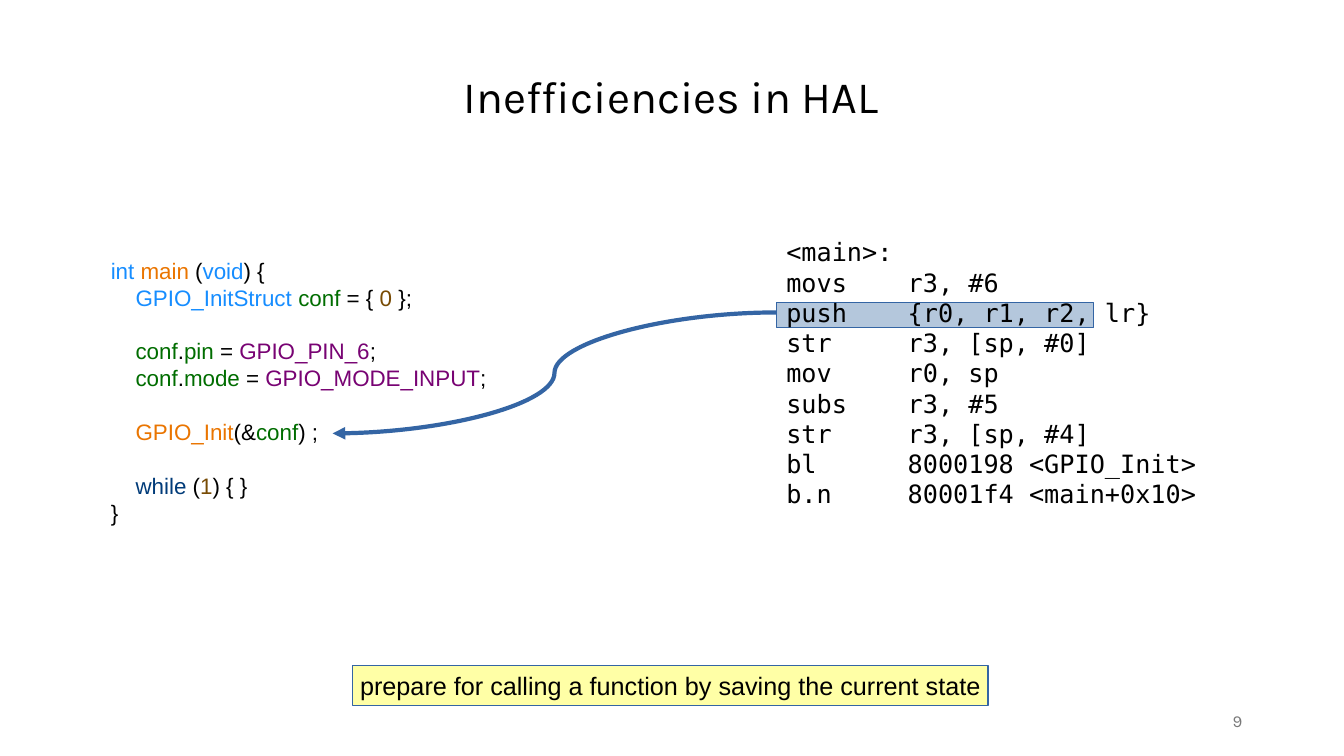
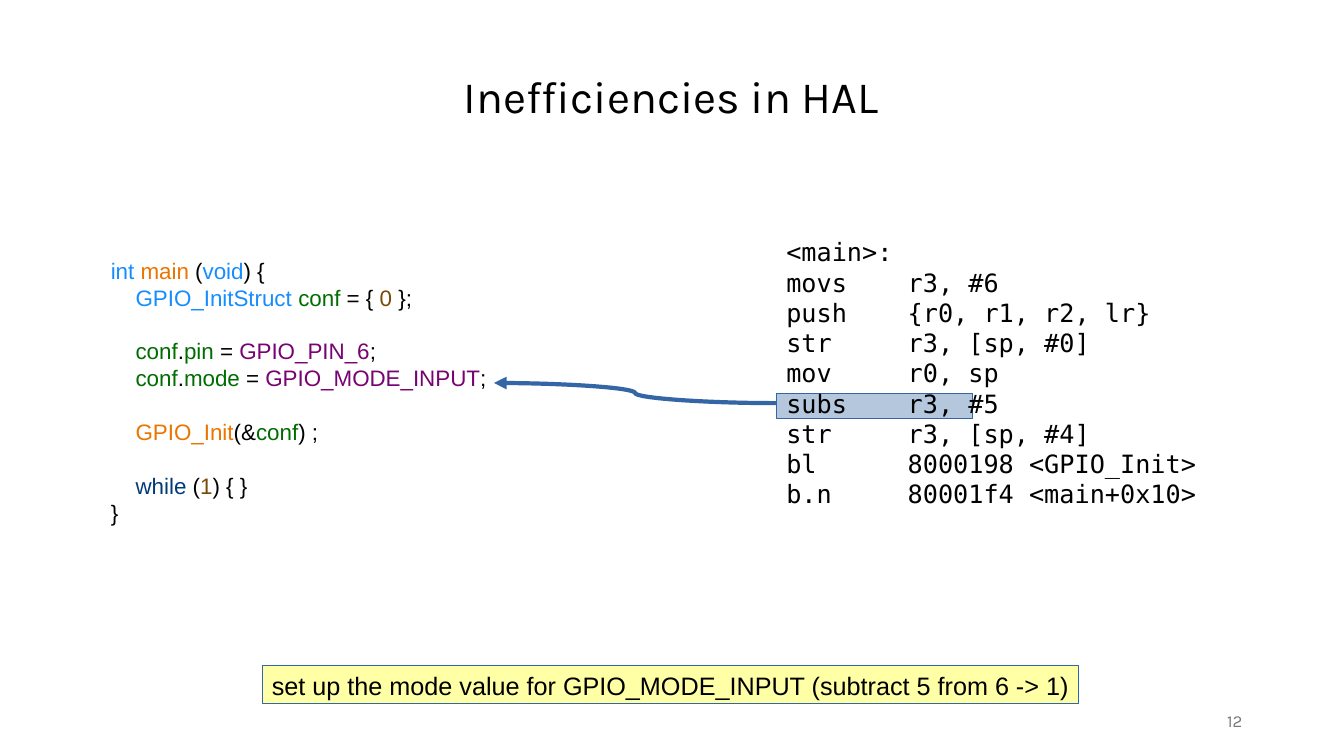
from lxml import etree
from pptx import Presentation
from pptx import util as u
from pptx.dml.color import RGBColor
from pptx.enum import shapes, text
from pptx.oxml import ns

# Shared colours and fonts
BLACK = RGBColor(0x00, 0x00, 0x00)
GREY = RGBColor(0x78, 0x78, 0x78)
EDGE = RGBColor(0x34, 0x65, 0xA4)
CAPTION = RGBColor(0xFF, 0xFF, 0xA6)
HIGHLIGHT = RGBColor(0xB4, 0xC7, 0xDC)
TYPE = RGBColor(0x16, 0x8D, 0xFF)
FUNCTION = RGBColor(0xEA, 0x75, 0x00)
VARIABLE = RGBColor(0x00, 0x6D, 0x00)
NUMBER = RGBColor(0x78, 0x4B, 0x04)
MACRO = RGBColor(0x78, 0x03, 0x73)
KEYWORD = RGBColor(0x00, 0x3B, 0x79)
TITLE_FONT, BODY_FONT, CODE_FONT = "Karla", "Arial", "DejaVu Sans Mono"

# Square grid cell, and the assembly listing's place on that grid
CELL = u.Inches(0.1)
LISTING_LEFT, LISTING_TOP, LISTING_ROW = 77, 24, 3
CAPTION_CENTER, CAPTION_TOP = 66.5, 66
BLANK_LINE = u.Pt(19.2)

# C source: (blank line above, coloured runs)
SOURCE = [
    (False, [("int ", TYPE), ("main", FUNCTION), (" (", BLACK), ("void", TYPE), (") {", BLACK)]),
    (False, [("    ", BLACK), ("GPIO_InitStruct ", TYPE), ("conf", VARIABLE), (" = { ", BLACK),
             ("0 ", NUMBER), ("};", BLACK)]),
    (True, [("    ", BLACK), ("conf", VARIABLE), (".", BLACK), ("pin", VARIABLE), (" = ", BLACK),
            ("GPIO_PIN_6", MACRO), (";", BLACK)]),
    (False, [("    ", BLACK), ("conf", VARIABLE), (".", BLACK), ("mode", VARIABLE), (" = ", BLACK),
             ("GPIO_MODE_INPUT", MACRO), (";", BLACK)]),
    (True, [("    ", BLACK), ("GPIO_Init", FUNCTION), ("(&", BLACK), ("conf", VARIABLE),
            (") ;", BLACK)]),
    (True, [("    ", BLACK), ("while", KEYWORD), (" (", BLACK), ("1", NUMBER), (") { }", BLACK)]),
    (False, [("}", BLACK)]),
]

ASSEMBLY = [
    "<main>:",
    "movs    r3, #6",
    "push    {r0, r1, r2, lr}",
    "str     r3, [sp, #0]",
    "mov     r0, sp",
    "subs    r3, #5",
    "str     r3, [sp, #4]",
    "bl      8000198 <GPIO_Init>",
    "b.n     80001f4 <main+0x10>",
]

# What differs: number, caption, its size, highlighted row, its width, arrow target
STEPS = [
    ("9", "prepare for calling a function by saving the current state",
     (63, 4), 2, 31.5, (33, 43)),
    ("12", "set up the mode value for GPIO_MODE_INPUT (subtract 5 from 6 -> 1)",
     (81, 3.8), 5, 19.5, (49, 38)),
]


def add_text(slide, box, lines, font, size, color=BLACK, align=text.PP_ALIGN.LEFT):
    """Add a text box, given in grid cells, with one paragraph per line."""
    shape = slide.shapes.add_textbox(*[round(length * CELL) for length in box])
    frame = shape.text_frame
    frame.word_wrap = True
    frame.text = "\n".join(lines)
    for paragraph in frame.paragraphs:
        paragraph.alignment = align
        for run in paragraph.runs:
            run.font.name, run.font.size = font, u.Pt(size)
            run.font.color.rgb = color
    return frame


def add_box(slide, box, fill):
    """Add a thinly outlined rectangle, given in grid cells."""
    shape = slide.shapes.add_shape(shapes.MSO_SHAPE.RECTANGLE,
                                   *[round(length * CELL) for length in box])
    shape.shadow.inherit = False
    shape.fill.solid()
    shape.fill.fore_color.rgb = fill
    shape.line.color.rgb = EDGE
    shape.line.width = u.Pt(0)
    return shape


presentation = Presentation()
presentation.slide_width = u.Inches(13.33)
presentation.slide_height = u.Inches(7.5)

for number, caption, (width, height), row, row_width, target in STEPS:
    slide = presentation.slides.add_slide(presentation.slide_layouts[6])

    # Caption
    box = add_box(slide, (CAPTION_CENTER - width / 2, CAPTION_TOP, width, height), CAPTION)
    frame = box.text_frame
    frame.word_wrap = False
    frame.vertical_anchor = text.MSO_ANCHOR.TOP
    frame.margin_bottom = 0
    frame.text = caption
    paragraph = frame.paragraphs[0]
    paragraph.alignment = text.PP_ALIGN.CENTER
    font = paragraph.runs[0].font
    font.name, font.size = BODY_FONT, u.Pt(18)
    font.color.rgb = BLACK

    # Highlighted instruction
    row_top = LISTING_TOP + row * LISTING_ROW
    add_box(slide, (LISTING_LEFT, row_top, row_width, 2.5), HIGHLIGHT)

    # Title
    frame = add_text(slide, (21.1, 6.9, 91, 11.1), ["Inefficiencies in HAL"],
                     TITLE_FONT, 32, align=text.PP_ALIGN.CENTER)
    frame.paragraphs[0].line_spacing = 0.9

    # C source
    lines = ["".join(part for part, color in runs) for blank, runs in SOURCE]
    frame = add_text(slide, (10, 25, 52.5, 27.5), lines, BODY_FONT, 16)
    for paragraph, (blank, runs) in zip(frame.paragraphs, SOURCE):
        if blank:
            paragraph.space_before = BLANK_LINE
        paragraph.clear()
        for part, color in runs:
            run = paragraph.add_run()
            run.text = part
            run.font.name, run.font.size = BODY_FONT, u.Pt(16)
            run.font.color.rgb = color

    # Assembly listing
    add_text(slide, (LISTING_LEFT, 23, 47.5, 33.7), ASSEMBLY, CODE_FONT, 18)

    # Arrow from the instruction to its source line
    ends = (LISTING_LEFT, row_top + 1, *target)
    arrow = slide.shapes.add_connector(shapes.MSO_CONNECTOR.CURVE,
                                       *[round(length * CELL) for length in ends])
    arrow.line.color.rgb = EDGE
    arrow.line.width = u.Pt(3)
    etree.SubElement(arrow.line._get_or_add_ln(), ns.qn("a:tailEnd"), type="triangle")
    etree.SubElement(arrow._element.spPr, ns.qn("a:effectLst"))

    # Slide number
    frame = add_text(slide, (94.2, 69.5, 30, 4), [number], TITLE_FONT, 12, GREY,
                     text.PP_ALIGN.RIGHT)
    frame.vertical_anchor = text.MSO_ANCHOR.MIDDLE

presentation.save("out.pptx")
